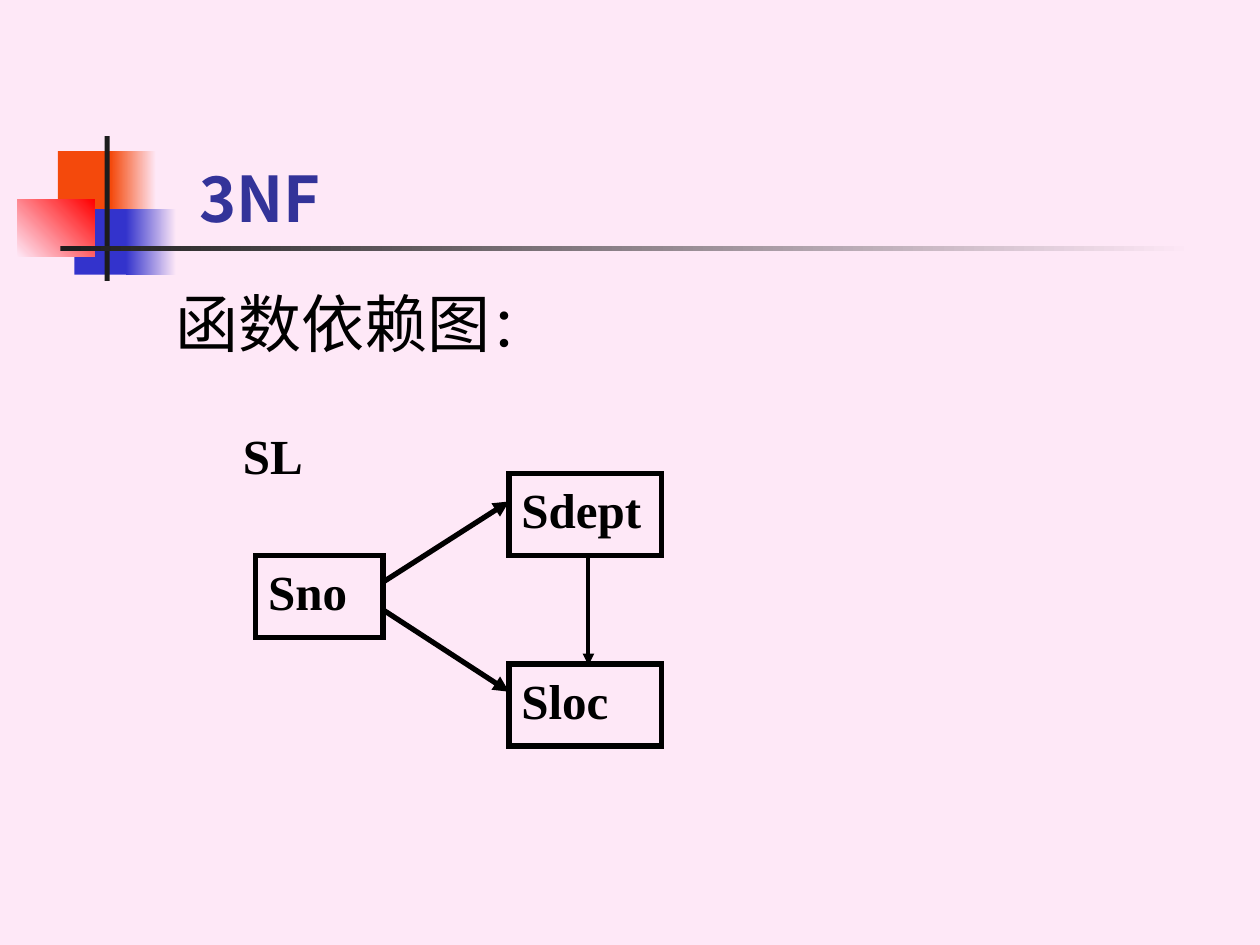
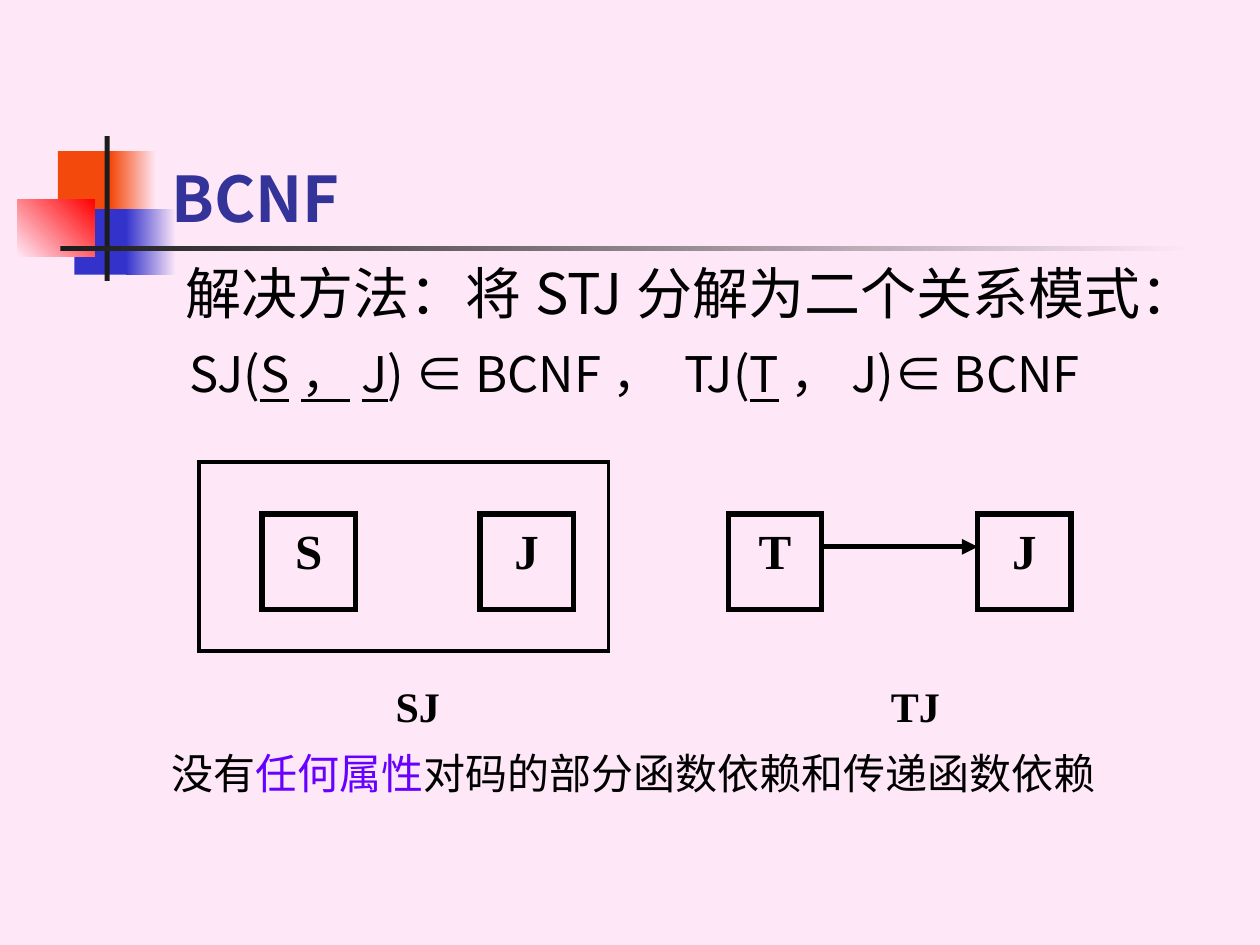
import pptx
import pptx.dml.color
import pptx.enum.shapes
import pptx.enum.text
import pptx.oxml.ns
import pptx.util
from lxml import etree

Inches = pptx.util.Inches
Pt = pptx.util.Pt
Align = pptx.enum.text.PP_ALIGN
Anchor = pptx.enum.text.MSO_ANCHOR
qn = pptx.oxml.ns.qn

SANS, SERIF = "Noto Sans CJK SC", "Times New Roman"
PINK, ORANGE, BLUE, RED = "FEE8F7", "F4490C", "3333CC", "FF0000"
DARK, NAVY, BLACK, VIOLET = "1C1C1C", "333399", "000000", "6600FF"

DECORATION = [
    ((0.46, 1.2, 0.48, 0.52), [ORANGE], 0),
    ((0.88, 1.2, 0.36, 0.52), [ORANGE, PINK], 0),
    ((0.59, 1.66, 0.46, 0.52), [BLUE], 0),
    ((1, 1.66, 0.4, 0.52), [BLUE, PINK], 0),
    ((0.14, 1.58, 0.61, 0.46), [PINK, RED], 45),
    ((0.83, 1.08, 0.04, 1.15), [DARK], 0),
    ((0.48, 1.95, 9, 0.04), [DARK, PINK], 0),
]

THIRD_FORM = {
    "title": "3NF",
    "title_left": 1.48,
    "body_at": (1.29, 2.21, 8.5, 4.5),
    "body": [
        {"runs": [("函数依赖图", {"size": 36}), ("：", {"size": 32})]},
    ],
}
BOYCE_CODD = {
    "title": "BCNF",
    "title_left": 1.26,
    "body_at": (1, 2, 8.5, 4.5),
    "body": [
        {"runs": [("解决方法：将STJ分解为二个关系模式：", {"size": 32})], "indent": 0.37},
        {"runs": [("SJ(", {}), ("S，J", {"underline": True}), (") ∈ BCNF， TJ(", {}),
                  ("T", {"underline": True}), ("，J)∈ BCNF", {})],
         "indent": 0.4, "before": 10.5},
        {"runs": [("没有", {"size": 24}), ("任何属性", {"size": 24, "color": VIOLET}),
                  ("对码的部分函数依赖和传递函数依赖", {"size": 24})],
         "indent": 0.26, "before": 197},
    ],
}

DEPENDENCY_BOXES = {
    "Sno": (2.03, 4.41, 1.01, 0.65),
    "Sdept": (4.04, 3.76, 1.21, 0.65),
    "Sloc": (4.04, 5.27, 1.21, 0.65),
}
DEPENDENCY_ARROWS = [
    ((3.04, 4.62), (4.04, 3.98), 3),
    ((3.04, 4.84), (4.04, 5.49), 3),
    ((4.67, 4.42), (4.67, 5.28), 2.25),
]
KEY_BOXES = [("S", 2.08), ("J", 3.81), ("T", 5.78), ("J", 7.76)]
KEY_TOP, KEY_WIDTH, KEY_HEIGHT = 4.08, 0.74, 0.76
RELATION_LABELS = [("SJ", 2.82), ("TJ", 6.77)]
RELATION_TOP, RELATION_WIDTH = 5.35, 0.99


def rgb(color):
    return pptx.dml.color.RGBColor.from_string(color)


def inches(values):
    return [Inches(value) for value in values]


def add_text(paragraph, text, size=28, font=SANS, color=BLACK, bold=False, underline=False):
    run = paragraph.add_run()
    run.text = text
    run.font.size = Pt(size)
    run.font.bold = bold
    run.font.underline = underline
    run.font.color.rgb = rgb(color)
    run.font.name = font
    etree.SubElement(run._r.get_or_add_rPr(), qn("a:ea"), typeface=font)


def fill_label(shape, text, size, align):
    frame = shape.text_frame
    frame.word_wrap = True
    frame.vertical_anchor = Anchor.TOP
    paragraph = frame.paragraphs[0]
    paragraph.alignment = align
    add_text(paragraph, text, size=size, font=SERIF, bold=True)


def add_label(slide, text, at, size=28, align=Align.LEFT):
    fill_label(slide.shapes.add_textbox(*inches(at)), text, size, align)


def add_rectangle(slide, at):
    shape = slide.shapes.add_shape(pptx.enum.shapes.MSO_SHAPE.RECTANGLE, *inches(at))
    shape.shadow.inherit = False
    return shape


def add_outline(slide, at, width=3):
    shape = add_rectangle(slide, at)
    shape.fill.background()
    shape.line.color.rgb = rgb(BLACK)
    shape.line.width = Pt(width)
    etree.SubElement(shape.line._get_or_add_ln(), qn("a:miter"), lim="800000")
    return shape


def add_box(slide, text, at, align=Align.LEFT):
    fill_label(add_outline(slide, at), text, 28, align)


def add_arrow(slide, start, end, width=3):
    arrow = slide.shapes.add_connector(
        pptx.enum.shapes.MSO_CONNECTOR.STRAIGHT, *inches(start + end))
    arrow.line.color.rgb = rgb(BLACK)
    arrow.line.width = Pt(width)
    etree.SubElement(arrow.line._get_or_add_ln(), qn("a:tailEnd"), type="triangle")
    etree.SubElement(arrow.element.spPr, qn("a:effectLst"))


def decorate_master(master, slide):
    master.background.fill.solid()
    master.background.fill.fore_color.rgb = rgb(PINK)
    first_placeholder = master.placeholders[0].element
    for number, (at, colors, angle) in enumerate(DECORATION, 101):
        shape = add_rectangle(slide, at)
        shape.line.fill.background()
        if len(colors) == 1:
            shape.fill.solid()
            shape.fill.fore_color.rgb = rgb(colors[0])
        else:
            shape.fill.gradient()
            shape.fill.gradient_angle = angle
            for stop, color in zip(shape.fill.gradient_stops, colors):
                stop.color.rgb = rgb(color)
        shape.element.nvSpPr.cNvPr.id = number
        first_placeholder.addprevious(shape.element)


def place(shape, at, anchor):
    shape.left, shape.top, shape.width, shape.height = inches(at)
    shape.text_frame.word_wrap = True
    shape.text_frame.auto_size = pptx.enum.text.MSO_AUTO_SIZE.NONE
    shape.text_frame.vertical_anchor = anchor
    return shape.text_frame


def add_slide(presentation, content):
    slide = presentation.slides.add_slide(presentation.slide_layouts[1])
    left = content["title_left"]
    title = place(slide.shapes.title, (left, 0.67, 9.78 - left, 1.25), Anchor.BOTTOM)
    title.paragraphs[0].alignment = Align.LEFT
    add_text(title.paragraphs[0], content["title"], size=36, color=NAVY, bold=True)

    body = place(slide.placeholders[1], content["body_at"], Anchor.TOP)
    for index, item in enumerate(content["body"]):
        paragraph = body.add_paragraph() if index else body.paragraphs[0]
        properties = paragraph._p.get_or_add_pPr()
        properties.set("marL", str(Inches(item.get("indent", 0))))
        properties.set("indent", "0")
        etree.SubElement(properties, qn("a:buNone"))
        paragraph.space_before = Pt(item.get("before", 0))
        for text, style in item["runs"]:
            add_text(paragraph, text, **style)
    return slide


def draw_dependencies(slide):
    add_label(slide, "SL", (1.83, 3.33, 1.21, 0.65))
    for name, at in DEPENDENCY_BOXES.items():
        add_box(slide, name, at)
    for start, end, width in DEPENDENCY_ARROWS:
        add_arrow(slide, start, end, width)


def draw_relations(slide):
    for name, left in KEY_BOXES:
        add_box(slide, name, (left, KEY_TOP, KEY_WIDTH, KEY_HEIGHT), Align.CENTER)
    for name, left in RELATION_LABELS:
        add_label(slide, name, (left, RELATION_TOP, RELATION_WIDTH, KEY_HEIGHT),
                  size=24, align=Align.CENTER)
    add_arrow(slide, (6.53, 4.34), (7.76, 4.34))
    add_outline(slide, (1.58, 3.67, 3.25, 1.5), width=2.25)


def main():
    presentation = pptx.Presentation()
    presentation.slide_width, presentation.slide_height = inches((10, 7.5))
    dependency_slide = add_slide(presentation, THIRD_FORM)
    decorate_master(presentation.slide_master, dependency_slide)
    draw_dependencies(dependency_slide)
    draw_relations(add_slide(presentation, BOYCE_CODD))
    presentation.save("out.pptx")


if __name__ == "__main__":
    main()
